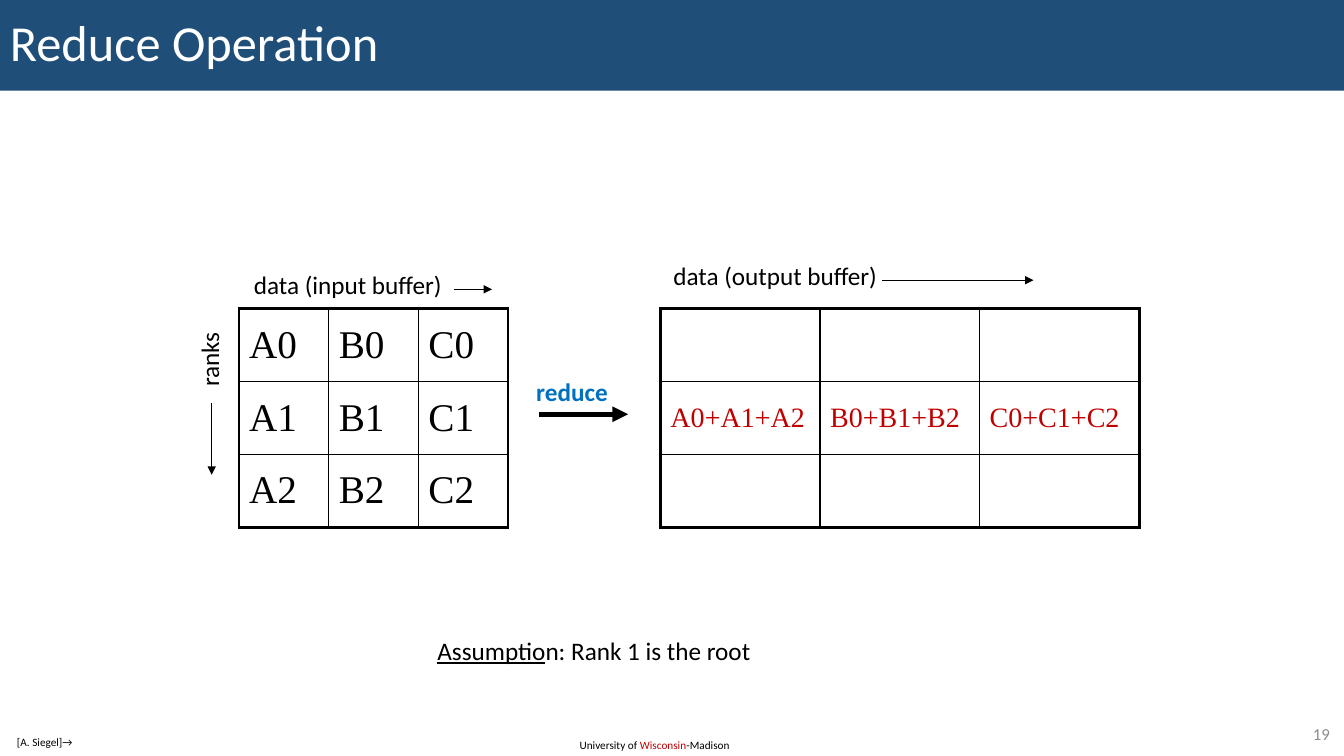
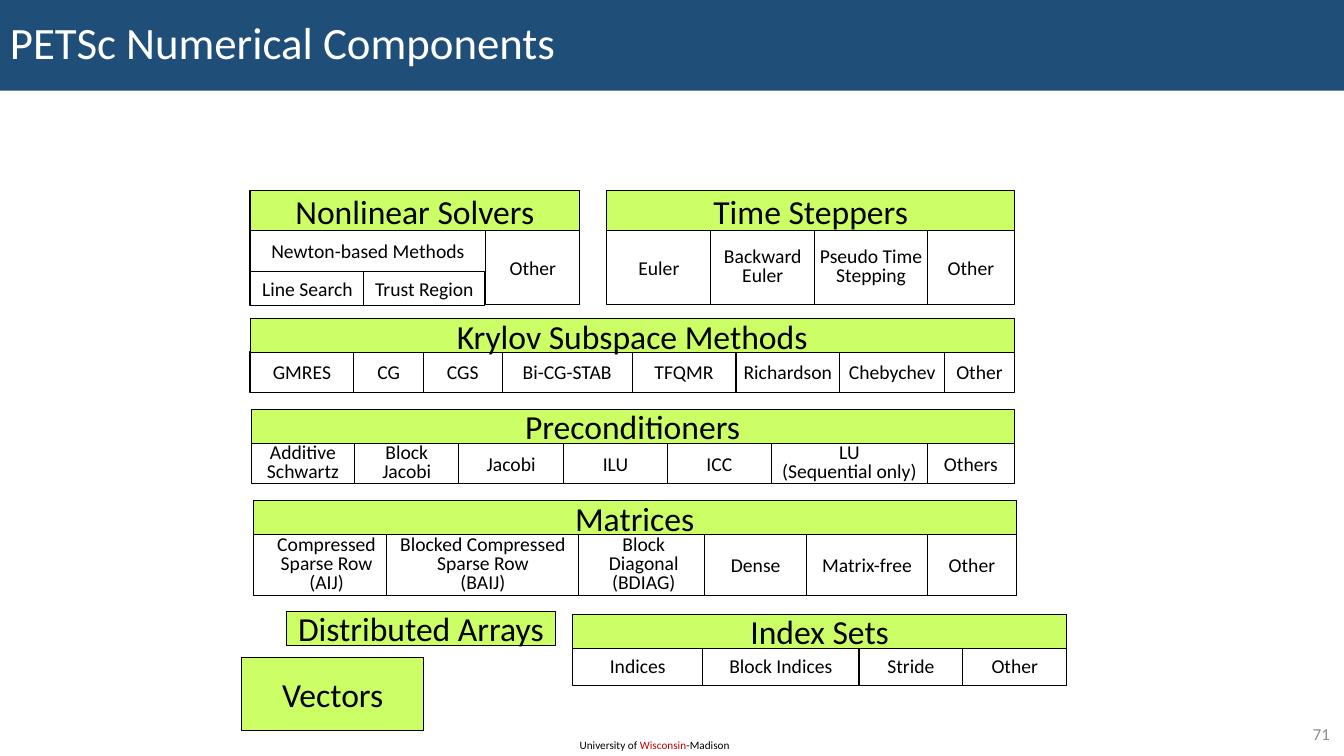
from lxml.etree import SubElement
from pptx import Presentation
from pptx.dml.color import RGBColor
from pptx.enum.shapes import MSO_CONNECTOR, MSO_SHAPE
from pptx.enum.text import MSO_ANCHOR, PP_ALIGN
from pptx.oxml.ns import qn
from pptx.util import Inches, Pt

COLORS = {
    "band": "1F4E79",
    "white": "FFFFFF",
    "black": "000000",
    "gray": "8C8C8C",
    "red": "C00000",
    "blue": "0070C0",
    "lime": "CCFF66",
}
FONT = "Calibri"
TABLE_FONT = "Times New Roman"


def write(tf, lines, size, align=PP_ALIGN.LEFT, spacing=None,
          anchor=MSO_ANCHOR.TOP, wrap=True, font=FONT):
    tf.word_wrap = wrap
    tf.vertical_anchor = anchor
    for i, runs in enumerate(lines):
        p = tf.paragraphs[0] if i == 0 else tf.add_paragraph()
        p.alignment = align
        if spacing:
            p.line_spacing = spacing
        for text, color, *styles in runs:
            r = p.add_run()
            r.text = text
            r.font.name = font
            r.font.size = Pt(size)
            r.font.color.rgb = RGBColor.from_string(COLORS[color])
            r.font.bold = "bold" in styles
            r.font.underline = "underline" in styles


def add_box(shapes, text, size, fill, left, top, width, height):
    sp = shapes.add_shape(MSO_SHAPE.RECTANGLE, Inches(left), Inches(top),
                          Inches(width), Inches(height))
    sp.shadow.inherit = False
    sp.fill.solid()
    sp.fill.fore_color.rgb = RGBColor.from_string(COLORS[fill])
    sp.line.color.rgb = RGBColor.from_string(COLORS["black"])
    sp.line.width = Pt(0.75)
    lines = [[(line, "black")] for line in text.split("\n")]
    write(sp.text_frame, lines, size, PP_ALIGN.CENTER,
          0.8 if len(lines) > 1 else None, MSO_ANCHOR.MIDDLE, False)


prs = Presentation()
prs.slide_width = Inches(13.33)
prs.slide_height = Inches(7.5)

slides = []
for title, title_size, number in [
    ("Reduce Operation", 36, "19"),
    ("PETSc Numerical Components", 32, "71"),
]:
    s = prs.slides.add_slide(prs.slide_layouts[6])
    slides.append(s)
    band = s.shapes.add_shape(MSO_SHAPE.RECTANGLE, 0, 0, prs.slide_width, Inches(0.9))
    band.shadow.inherit = False
    band.fill.solid()
    band.fill.fore_color.rgb = RGBColor.from_string(COLORS["band"])
    band.line.fill.background()
    write(band.text_frame, [[(title, "white")]], title_size,
          spacing=0.9, anchor=MSO_ANCHOR.MIDDLE)
    footer = s.shapes.add_textbox(Inches(5.65), Inches(7.28), Inches(1.72), Inches(0.24))
    write(footer.text_frame, [[("University of ", "black"), ("Wisconsin", "red"),
                               ("-Madison", "black")]], 8)
    num = s.shapes.add_textbox(Inches(12.53), Inches(7.13), Inches(0.76), Inches(0.29))
    write(num.text_frame, [[(number, "gray")]], 12, PP_ALIGN.RIGHT, anchor=MSO_ANCHOR.MIDDLE)

s = slides[0]
input_data = [[f"{name}{rank}" for name in "ABC"] for rank in range(3)]
output_data = [[""] * 3, ["+".join(column) for column in zip(*input_data)], [""] * 3]

for data, left, width, size, color in [
    (input_data, 2.37, 2.67, 28, "black"),
    (output_data, 6.55, 4.75, 20, "red"),
]:
    frame = s.shapes.add_table(3, 3, Inches(left), Inches(3.06), Inches(width), Inches(2.17))
    table = frame.table
    table.first_row = False
    table.horz_banding = False
    for i, row in enumerate(data):
        for j, text in enumerate(row):
            cell = table.cell(i, j)
            tcPr = cell._tc.get_or_add_tcPr()
            for tag, outer in [("a:lnL", j == 0), ("a:lnR", j == 2),
                               ("a:lnT", i == 0), ("a:lnB", i == 2)]:
                ln = SubElement(tcPr, qn(tag), w=str(Pt(2.25 if outer else 1)))
                solid = SubElement(ln, qn("a:solidFill"))
                SubElement(solid, qn("a:srgbClr"), val=COLORS["black"])
            cell.fill.background()
            cell.vertical_anchor = MSO_ANCHOR.MIDDLE
            if text:
                write(cell.text_frame, [[(text, color)]], size,
                      anchor=None, wrap=None, font=TABLE_FONT)

for x1, y1, x2, y2, weight in [
    (5.35, 4.11, 6.23, 4.11, 3.75),
    (2.1, 4, 2.1, 4.71, 0.75),
    (4.5, 2.87, 4.88, 2.87, 0.75),
    (8.75, 2.78, 10.25, 2.78, 0.75),
]:
    arrow = s.shapes.add_connector(MSO_CONNECTOR.STRAIGHT, Inches(x1), Inches(y1),
                                   Inches(x2), Inches(y2))
    arrow.line.color.rgb = RGBColor.from_string(COLORS["black"])
    arrow.line.width = Pt(weight)
    SubElement(arrow.line._get_or_add_ln(), qn("a:tailEnd"), type="triangle")
    SubElement(arrow._element.spPr, qn("a:effectLst"))

for runs, left, top, width, height, size, rotation, wrap in [
    ([("reduce", "blue", "bold")], 5.22, 3.68, 1.04, 0.4, 18, 0, True),
    ([("ranks", "black")], 1.7, 3.36, 0.75, 0.4, 18, 270, False),
    ([("Assumptio", "black", "underline"), ("n: Rank 1 is the root", "black")],
     4.24, 6.25, 3.34, 0.4, 18, 0, False),
    ([("data (input buffer)", "black")], 2.42, 2.62, 2.09, 0.4, 18, 0, False),
    ([("data (output buffer)", "black")], 6.58, 2.53, 2.25, 0.4, 18, 0, False),
    ([("[A. Siegel]→", "black")], 0.07, 7.25, 0.97, 0.24, 8, 0, True),
]:
    label = s.shapes.add_textbox(Inches(left), Inches(top), Inches(width), Inches(height))
    label.rotation = rotation
    write(label.text_frame, [runs], size, wrap=wrap)

s = slides[1]
blocks = [
    ("Time Steppers", 6.02, 1.89, 0.4, 2.29, 0.73, [
        ("Euler", 1.03), ("Backward\nEuler", 1.03),
        ("Pseudo Time\nStepping", 1.12), ("Other", 0.86)]),
    ("Krylov Subspace Methods", 2.48, 3.16, 0.34, 3.49, 0.4, [
        ("GMRES", 1.03), ("CG", 0.69), ("CGS", 0.78), ("Bi-CG-STAB", 1.29),
        ("TFQMR", 1.03), ("Richardson", 1.03), ("Chebychev", 1.04), ("Other", 0.69)]),
    ("Preconditioners", 2.49, 4.06, 0.34, 4.4, 0.4, [
        ("Additive\nSchwartz", 1.03), ("Block\nJacobi", 1.03), ("Jacobi", 1.04),
        ("ILU", 1.03), ("ICC", 1.03), ("LU\n(Sequential only)", 1.55), ("Others", 0.86)]),
    ("Matrices", 2.51, 4.97, 0.33, 5.3, 0.61, [
        ("Compressed\nSparse Row\n(AIJ)", 1.46, 0.14),
        ("Blocked Compressed\nSparse Row\n(BAIJ)", 1.92, 0.01),
        ("Block\nDiagonal\n(BDIAG)", 1.29, 0.04),
        ("Dense", 1.01), ("Matrix-free", 1.2), ("Other", 0.88)]),
    ("Index Sets", 5.68, 6.1, 0.33, 6.4, 0.4, [
        ("Indices", 1.29), ("Block Indices", 1.55), ("Stride", 1.03), ("Other", 1.03)]),
]
for heading, left, top, height, cell_top, cell_height, cells in blocks:
    shapes = s.shapes.add_group_shape().shapes
    x = left
    for text, width, *overlap in cells:
        add_box(shapes, text, 14, "white", x, cell_top, width, cell_height)
        x += width - sum(overlap)
    add_box(shapes, heading, 24, "lime", left, top, x - left, height)

nonlinear = s.shapes.add_group_shape().shapes
for text, left, top, width, height in [
    ("Line Search", 2.48, 2.69, 1.14, 0.34),
    ("Trust Region", 3.61, 2.69, 1.2, 0.34),
    ("Newton-based Methods", 2.48, 2.29, 2.34, 0.4),
    ("Other", 4.82, 2.29, 0.93, 0.73),
]:
    add_box(nonlinear, text, 14, "white", left, top, width, height)
add_box(nonlinear, "Nonlinear Solvers", 24, "lime", 2.48, 1.89, 3.27, 0.4)
add_box(s.shapes, "Distributed Arrays", 24, "lime", 2.84, 6.07, 2.67, 0.33)
add_box(s.shapes, "Vectors", 24, "lime", 2.4, 6.52, 1.8, 0.73)

prs.save("out.pptx")
